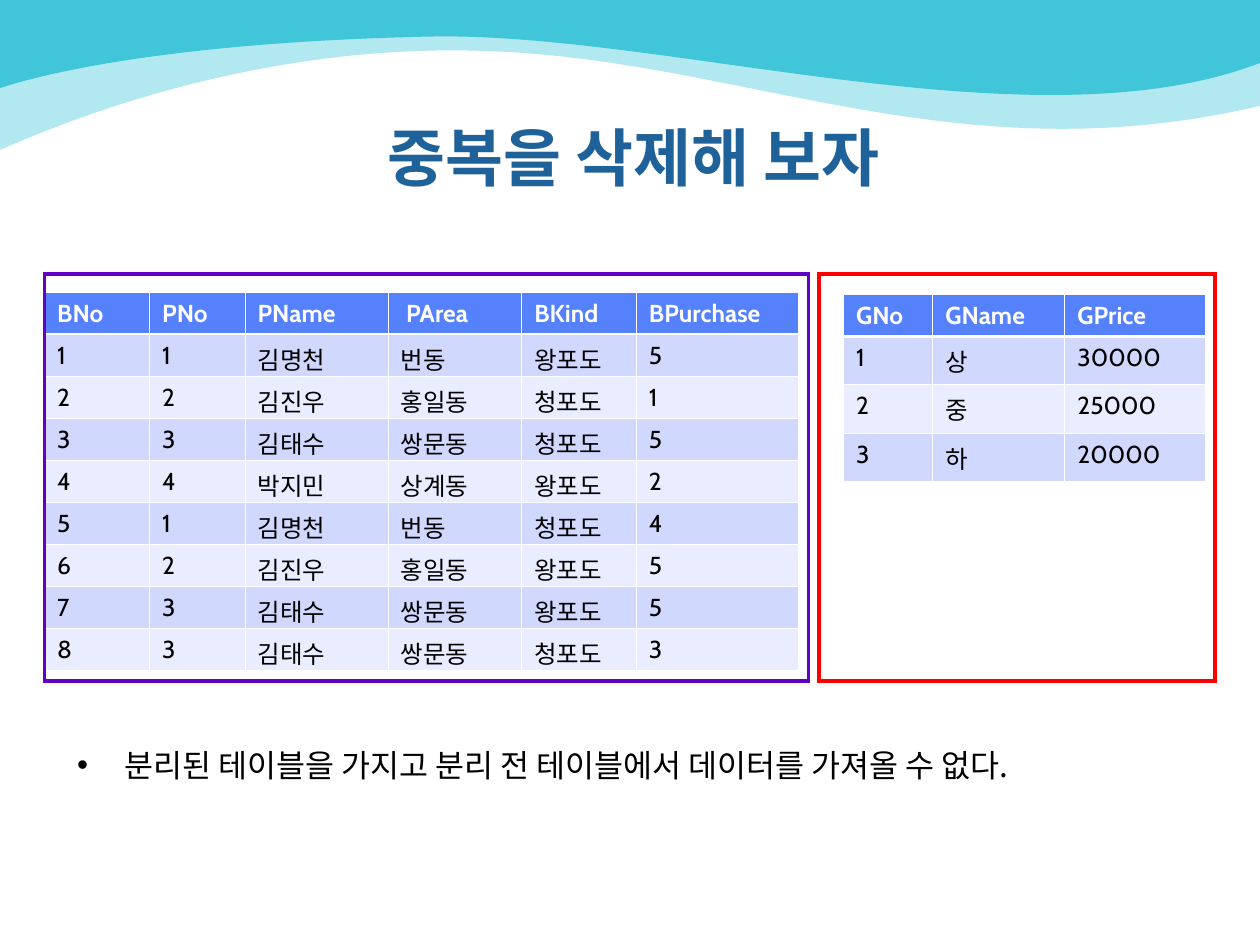
import pptx
import pptx.dml.color
import pptx.enum.shapes
import pptx.enum.text
import pptx.oxml.ns
import pptx.util
from lxml import etree

Pt = pptx.util.Pt
qn = pptx.oxml.ns.qn


def color(hex_code):
    return pptx.dml.color.RGBColor.from_string(hex_code)


def write(frame, text, size=14, ink="000000", bold=False, font="Cabin", align=None):
    paragraph = frame.paragraphs[0]
    paragraph.alignment = align
    run = paragraph.add_run()
    run.text = text
    run.font.size = Pt(size)
    run.font.bold = bold
    run.font.name = font
    run.font.color.rgb = color(ink)
    east_asian = etree.SubElement(run.font._element, qn("a:ea"))
    east_asian.set("typeface", "Noto Sans CJK KR")


presentation = pptx.Presentation()
presentation.slide_width = Pt(720)
presentation.slide_height = Pt(540)
slide = presentation.slides.add_slide(presentation.slide_layouts[5])

# Waves along the top: left edge depth, then two Bezier curves to the right edge
waves = [
    (40, [(0, 85.7), (23.8, 75.6), (141.8, 22.3), (285.1, 29.5),
          (428.4, 36), (548.6, 100.8), (720, 60.5)]),
    (100, [(0, 50.4), (32.4, 39.6), (110.2, 23.8), (245.5, 20.9),
           (380.9, 18), (590.4, 85.7), (720, 36)]),
]
for opacity, controls in waves:
    corners = [(100 * x, 100 * y) for x, y in controls + [(720, 0)]]
    builder = slide.shapes.build_freeform(0, 0, scale=Pt(0.01))
    builder.add_line_segments(corners, close=True)
    wave = builder.convert_to_shape()
    wave.shadow.inherit = False
    wave.line.fill.background()
    wave.fill.solid()
    wave.fill.fore_color.rgb = color("40C6D8")
    if opacity < 100:
        tint = wave.element.spPr.find(qn("a:solidFill")).find(qn("a:srgbClr"))
        etree.SubElement(tint, qn("a:alpha")).set("val", str(opacity * 1000))
    # Each three line ends after the left edge become one cubic curve
    segments = list(wave.element.iter(qn("a:lnTo")))
    for first in (1, 4):
        curve = etree.Element(qn("a:cubicBezTo"))
        segments[first].addprevious(curve)
        for segment in segments[first:first + 3]:
            curve.append(segment[0])
            segment.getparent().remove(segment)

# Title, brought in front of the waves
title = slide.shapes.title
title.element.getparent().append(title.element)
title.left, title.top, title.width, title.height = Pt(38), Pt(64), Pt(648), Pt(90)
title.text_frame.vertical_anchor = pptx.enum.text.MSO_ANCHOR.TOP
write(title.text_frame, "중복을 삭제해 보자", size=36, ink="1F6299", bold=True,
      align=pptx.enum.text.PP_ALIGN.CENTER)

# Purchase table and grade table
purchases = [
    ["BNo", "PNo", "PName", " PArea", "BKind", "BPurchase"],
    ["1", "1", "김명천", "번동", "왕포도", "5"],
    ["2", "2", "김진우", "홍일동", "청포도", "1"],
    ["3", "3", "김태수", "쌍문동", "청포도", "5"],
    ["4", "4", "박지민", "상계동", "왕포도", "2"],
    ["5", "1", "김명천", "번동", "청포도", "4"],
    ["6", "2", "김진우", "홍일동", "왕포도", "5"],
    ["7", "3", "김태수", "쌍문동", "왕포도", "5"],
    ["8", "3", "김태수", "쌍문동", "청포도", "3"],
]
grades = [
    ["GNo", "GName", "GPrice"],
    ["1", "상", "30000"],
    ["2", "중", "25000"],
    ["3", "하", "20000"],
]
row_height = 24.06
tables = [
    (purchases, 25.5, 167, [60, 54.5, 81.7, 76.5, 65.5, 92.5], 0),
    (grades, 482, 168, [51, 75.5, 80.5], 3.6),
]
for records, left, top, widths, bottom_margin in tables:
    grid = slide.shapes.add_table(len(records), len(widths), Pt(left), Pt(top),
                                  Pt(sum(widths)), Pt(row_height * len(records))).table
    for column, width in zip(grid.columns, widths):
        column.width = Pt(width)
    for r, record in enumerate(records):
        grid.rows[r].height = Pt(row_height)
        for c, value in enumerate(record):
            cell = grid.cell(r, c)
            cell.margin_bottom = Pt(bottom_margin)
            write(cell.text_frame, value, ink="000000" if r else "FFFFFF", bold=r == 0)
            for side in ("L", "R", "T", "B"):
                under_header = (r, side) in ((0, "B"), (1, "T"))
                border = etree.SubElement(cell._tc.get_or_add_tcPr(), qn("a:ln" + side))
                border.set("w", str(Pt(1.47 if under_header else 0.45)))
                border_fill = etree.SubElement(border, qn("a:solidFill"))
                etree.SubElement(border_fill, qn("a:srgbClr")).set("val", "FFFFFF")
            cell.fill.solid()
            band = "D1D8FE" if r % 2 else "E9EDFF"
            cell.fill.fore_color.rgb = color(band if r else "5581FD")

# Frames around the tables, with sharp corners
for left, width, outline_color in ((468, 226.5, "FF0000"), (25.5, 436.5, "6200C4")):
    frame = slide.shapes.add_shape(pptx.enum.shapes.MSO_SHAPE.RECTANGLE,
                                   Pt(left), Pt(156.5), Pt(width), Pt(232.8))
    frame.shadow.inherit = False
    frame.fill.background()
    frame.line.color.rgb = color(outline_color)
    frame.line.width = Pt(2)
    corner = etree.SubElement(frame.element.spPr.find(qn("a:ln")), qn("a:miter"))
    corner.set("lim", "800000")

# Conclusion bullet
conclusion = slide.shapes.add_textbox(Pt(37), Pt(422.5), Pt(633.5), Pt(29)).text_frame
conclusion.word_wrap = True
bullet_format = conclusion.paragraphs[0]._p.get_or_add_pPr()
bullet_format.set("marL", str(Pt(27)))
bullet_format.set("indent", str(Pt(-27)))
etree.SubElement(bullet_format, qn("a:buFont")).set("typeface", "Arial")
etree.SubElement(bullet_format, qn("a:buChar")).set("char", "•")
write(conclusion, "분리된 테이블을 가지고 분리 전 테이블에서 데이터를 가져올 수 없다.",
      size=18, font="Noto Sans CJK KR")

presentation.save("out.pptx")
